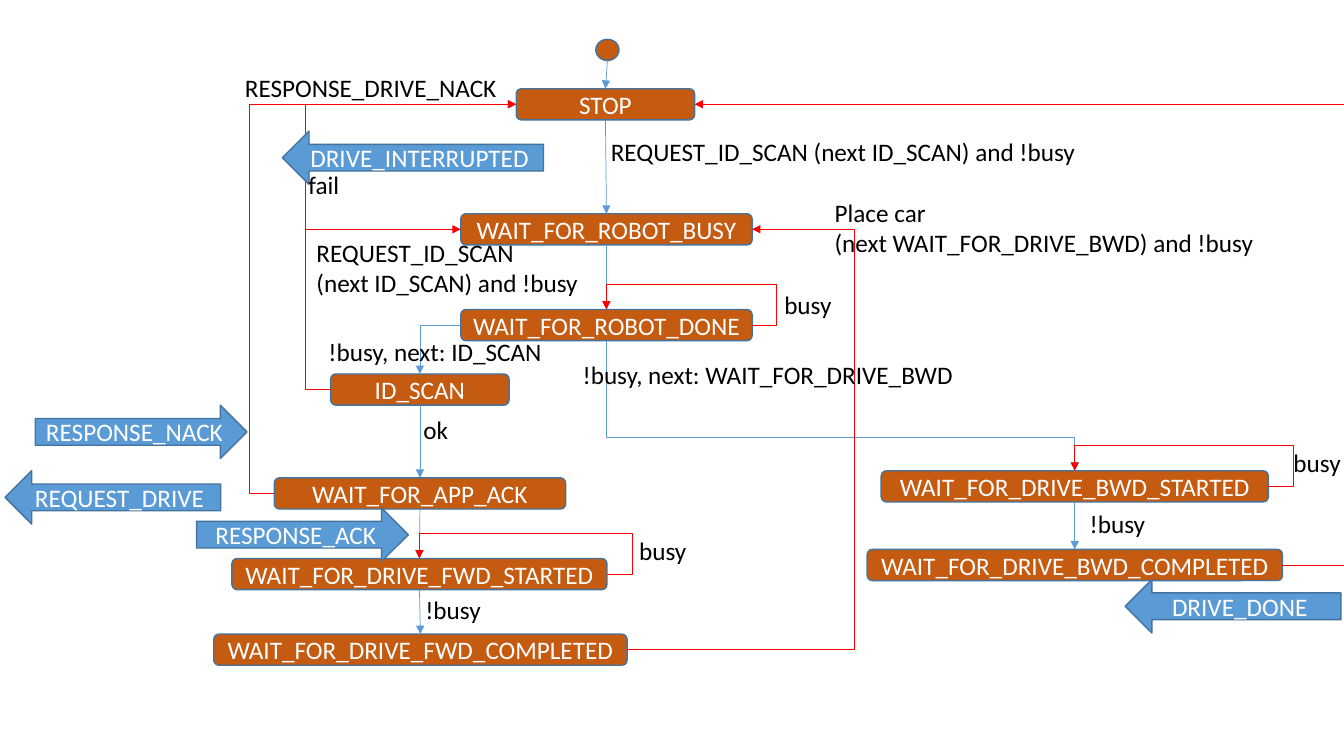
from lxml import etree
from pptx import Presentation
from pptx.dml.color import RGBColor
from pptx.enum.shapes import MSO_CONNECTOR, MSO_SHAPE
from pptx.enum.text import MSO_ANCHOR, PP_ALIGN
from pptx.oxml.ns import qn
from pptx.util import Inches, Pt

ORANGE = RGBColor(0xC5, 0x5A, 0x11)
BLUE = RGBColor(0x5B, 0x9B, 0xD5)
OUTLINE = RGBColor(0x43, 0x73, 0x9E)
RED = RGBColor(0xFF, 0x00, 0x00)
WHITE = RGBColor(0xFF, 0xFF, 0xFF)
BLACK = RGBColor(0x00, 0x00, 0x00)
ELBOW, STRAIGHT = MSO_CONNECTOR.ELBOW, MSO_CONNECTOR.STRAIGHT
ROUNDED, OVAL = MSO_SHAPE.ROUNDED_RECTANGLE, MSO_SHAPE.OVAL
LEFT_ARROW, RIGHT_ARROW = MSO_SHAPE.LEFT_ARROW, MSO_SHAPE.RIGHT_ARROW
CENTER, MIDDLE = PP_ALIGN.CENTER, MSO_ANCHOR.MIDDLE
TOP, LEFT, BOTTOM, RIGHT = range(4)
STATE_HEIGHT, SIGNAL_HEIGHT = 0.31, 0.53

prs = Presentation()
prs.slide_width, prs.slide_height = Inches(13.33), Inches(7.5)
slide = prs.slides.add_slide(prs.slide_layouts[6])


def add_block(kind, left, top, width, height, fill, text=""):
    block = slide.shapes.add_shape(
        kind, Inches(left), Inches(top), Inches(width), Inches(height))
    block.shadow.inherit = False
    block.fill.solid()
    block.fill.fore_color.rgb = fill
    block.line.color.rgb = OUTLINE
    block.line.width = Pt(1)
    if text:
        block.text_frame.text = text
        block.text_frame.vertical_anchor = MIDDLE
        paragraph = block.text_frame.paragraphs[0]
        paragraph.alignment = CENTER
        paragraph.font.name = "Calibri"
        paragraph.font.size = Pt(18)
        paragraph.font.color.rgb = WHITE
    return block


def add_transition(kind, source, source_side, target, target_side, color):
    transition = slide.shapes.add_connector(kind, 0, 0, 0, 0)
    transition.begin_connect(states[source], source_side)
    transition.end_connect(states[target], target_side)
    transition.line.color.rgb = color
    transition.line.width = Pt(0.5)
    line = transition._element.spPr.find(qn("a:ln"))
    etree.SubElement(line, qn("a:tailEnd"), type="triangle")
    etree.SubElement(transition._element.spPr, qn("a:effectLst"))
    return transition


states = {"START": add_block(OVAL, 5.91, 0.39, 0.23, 0.21, ORANGE)}
for name, left, top, width in [
    ("STOP", 5.12, 0.88, 1.77),
    ("WAIT_FOR_ROBOT_BUSY", 4.57, 2.12, 2.89),
    ("WAIT_FOR_ROBOT_DONE", 4.57, 3.07, 2.89),
    ("ID_SCAN", 3.28, 3.71, 1.77),
    ("WAIT_FOR_APP_ACK", 2.72, 4.74, 2.89),
    ("WAIT_FOR_DRIVE_FWD_STARTED", 2.3, 5.54, 3.72),
    ("WAIT_FOR_DRIVE_FWD_COMPLETED", 2.12, 6.29, 4.1),
    ("WAIT_FOR_DRIVE_BWD_STARTED", 8.74, 4.67, 3.84),
    ("WAIT_FOR_DRIVE_BWD_COMPLETED", 8.6, 5.45, 4.12),
]:
    states[name] = add_block(ROUNDED, left, top, width, STATE_HEIGHT, ORANGE, name)

start_arrow = add_transition(STRAIGHT, "START", BOTTOM, "STOP", TOP, BLUE)
for oval_joint in start_arrow._element.iter(qn("a:stCxn")):
    oval_joint.set("idx", "4")
for source, target in [
    ("STOP", "WAIT_FOR_ROBOT_BUSY"),
    ("WAIT_FOR_ROBOT_BUSY", "WAIT_FOR_ROBOT_DONE"),
    ("ID_SCAN", "WAIT_FOR_APP_ACK"),
    ("WAIT_FOR_APP_ACK", "WAIT_FOR_DRIVE_FWD_STARTED"),
    ("WAIT_FOR_DRIVE_FWD_STARTED", "WAIT_FOR_DRIVE_FWD_COMPLETED"),
    ("WAIT_FOR_DRIVE_BWD_STARTED", "WAIT_FOR_DRIVE_BWD_COMPLETED"),
]:
    add_transition(STRAIGHT, source, BOTTOM, target, TOP, BLUE)

for source, source_side, target, target_side, color, lane_x, lane_y in [
    ("WAIT_FOR_ROBOT_DONE", RIGHT, "WAIT_FOR_ROBOT_DONE", TOP, RED, 7.7, 2.82),
    ("WAIT_FOR_ROBOT_DONE", BOTTOM, "WAIT_FOR_DRIVE_BWD_STARTED", TOP, BLUE, None, 4.34),
    ("WAIT_FOR_ROBOT_DONE", LEFT, "ID_SCAN", TOP, BLUE, None, None),
    ("WAIT_FOR_APP_ACK", LEFT, "STOP", LEFT, RED, 2.47, None),
    ("ID_SCAN", LEFT, "STOP", LEFT, RED, 3.03, None),
    ("ID_SCAN", LEFT, "WAIT_FOR_ROBOT_BUSY", LEFT, RED, 3.03, None),
    ("WAIT_FOR_DRIVE_FWD_STARTED", RIGHT, "WAIT_FOR_DRIVE_FWD_STARTED", TOP, RED, 6.27, 5.29),
    ("WAIT_FOR_DRIVE_FWD_COMPLETED", RIGHT, "WAIT_FOR_ROBOT_BUSY", RIGHT, RED, 8.47, None),
    ("WAIT_FOR_DRIVE_BWD_STARTED", RIGHT, "WAIT_FOR_DRIVE_BWD_STARTED", TOP, RED, 12.83, 4.42),
    ("WAIT_FOR_DRIVE_BWD_COMPLETED", RIGHT, "STOP", RIGHT, RED, 13.34, None),
]:
    route = add_transition(ELBOW, source, source_side, target, target_side, color)
    ratios = [
        (Inches(lane) - begin) / (end - begin)
        for lane, begin, end in [
            (lane_x, route.begin_x, route.end_x), (lane_y, route.begin_y, route.end_y)]
        if lane is not None
    ]
    geometry = route._element.spPr.find(qn("a:prstGeom"))
    geometry.set("prst", f"bentConnector{len(ratios) + 2}")
    guides = geometry.find(qn("a:avLst"))
    for number, ratio in enumerate(ratios, 1):
        etree.SubElement(guides, qn("a:gd"), name=f"adj{number}",
                         fmla=f"val {round(ratio * 100000)}")
    if source_side == BOTTOM:
        width, height = route.width, route.height
        route.left += (width - height) // 2
        route.top += (height - width) // 2
        route.width, route.height = height, width
        frame = route._element.spPr.find(qn("a:xfrm"))
        frame.set("rot", "16200000")
        frame.set("flipH", "1")

for kind, left, top, width, text in [
    (LEFT_ARROW, 0.05, 4.67, 2.14, "REQUEST_DRIVE"),
    (RIGHT_ARROW, 1.95, 5.04, 2.1, "RESPONSE_ACK"),
    (RIGHT_ARROW, 0.35, 4.02, 2.1, "RESPONSE_NACK"),
    (LEFT_ARROW, 11.16, 5.75, 2.14, "DRIVE_DONE"),
    (LEFT_ARROW, 2.8, 1.3, 2.59, "DRIVE_INTERRUPTED"),
]:
    add_block(kind, left, top, width, SIGNAL_HEIGHT, BLUE, text)

for left, top, width, text in [
    (5.96, 1.3, 4.86, "REQUEST_ID_SCAN (next ID_SCAN) and !busy"),
    (7.68, 2.82, 0.68, "busy"),
    (2.33, 0.67, 2.72, "RESPONSE_DRIVE_NACK"),
    (2.96, 1.63, 0.51, "fail"),
    (3.04, 2.3, 2.83, "REQUEST_ID_SCAN\v(next ID_SCAN) and !busy"),
    (3.16, 3.29, 2.34, "!busy, next: ID_SCAN"),
    (4.1, 4.06, 0.45, "ok"),
    (6.24, 5.26, 0.68, "busy"),
    (4.12, 5.85, 0.76, "!busy"),
    (8.18, 1.91, 4.4, "Place car\v(next WAIT_FOR_DRIVE_BWD) and !busy"),
    (5.68, 3.52, 3.91, "!busy, next: WAIT_FOR_DRIVE_BWD"),
    (12.73, 4.39, 0.68, "busy"),
    (10.71, 4.99, 0.76, "!busy"),
]:
    height = 0.71 if "\v" in text else 0.4
    label = slide.shapes.add_textbox(
        Inches(left), Inches(top), Inches(width), Inches(height))
    label.text_frame.word_wrap = False
    label.text_frame.text = text
    paragraph = label.text_frame.paragraphs[0]
    paragraph.font.name = "Calibri"
    paragraph.font.size = Pt(18)
    paragraph.font.color.rgb = BLACK

prs.save("out.pptx")
